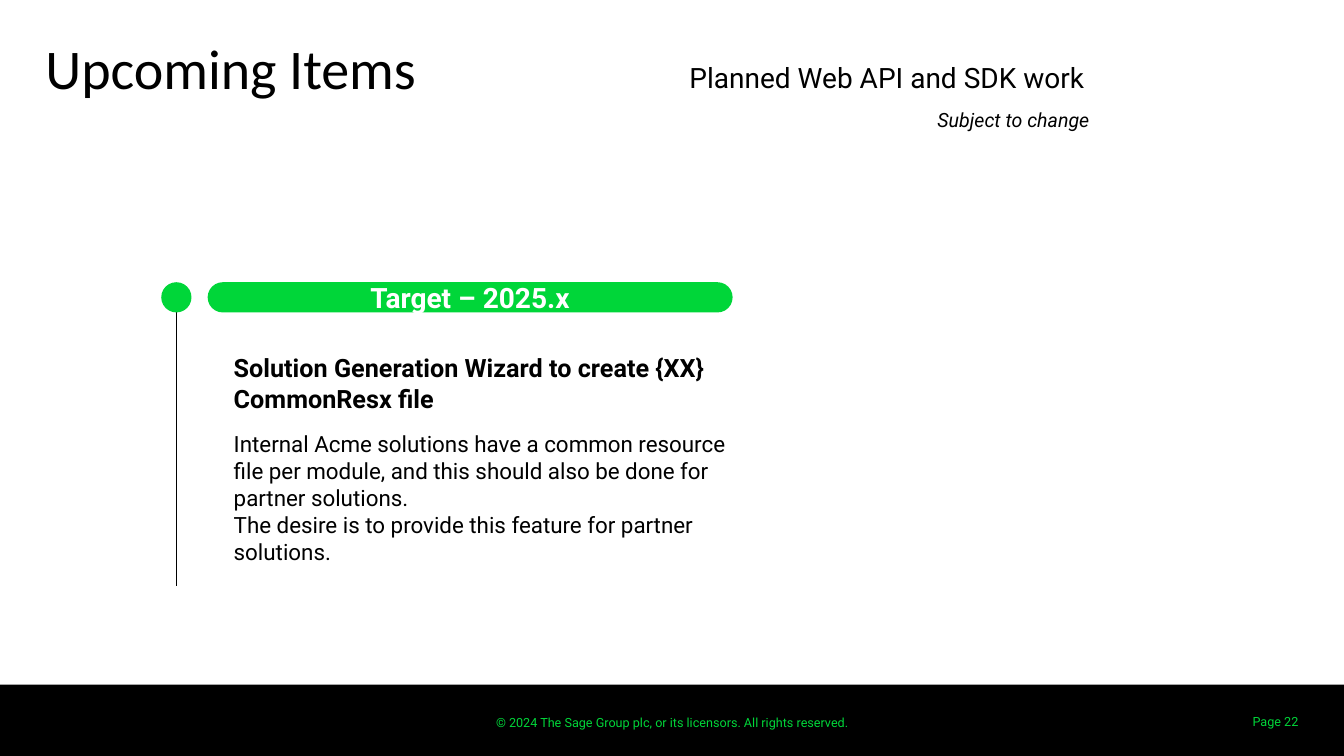
import pptx
import pptx.util
import pptx.dml.color
import pptx.enum.shapes
import pptx.enum.text
import pptx.oxml
import pptx.oxml.ns
from dataclasses import dataclass

Pt = pptx.util.Pt
Kind = pptx.enum.shapes.MSO_SHAPE
Side = pptx.enum.text.PP_ALIGN
Hold = pptx.enum.text.MSO_ANCHOR

TITLE = "Upcoming Items"
INTRO = ["Planned Web API and SDK work", "Subject to change"]
TARGET = "Target – 2025.x"
HEAD = "Solution Generation Wizard to create {XX}CommonResx file"
BODY = [
    "Internal Acme solutions have a common resource file per module, and this should also be done for partner solutions.",
    "The desire is to provide this feature for partner solutions.",
]
RIGHTS = "© 2024 The Sage Group plc, or its licensors. All rights reserved."
PAGE = "Page 22"


@dataclass(frozen=True)
class Theme:
    black: str = "000000"
    white: str = "FFFFFF"
    green: str = "00D639"
    face: str = "Roboto"
    title_face: str = "Calibri"
    title: int = 40
    lead: int = 20
    head: int = 18
    body: int = 16
    note: int = 14
    foot: int = 9


theme = Theme()
WIDE, HIGH = 960, 540
FOOT = 51
DOT = 21.6
DOT_X, DOT_Y = 115.2, 201.6
MID = DOT_X + DOT / 2
STEM_END = 418.3

deck = pptx.Presentation()
deck.slide_width, deck.slide_height = Pt(WIDE), Pt(HIGH)
slide = deck.slides.add_slide(deck.slide_layouts[6])


def tint(code):
    return pptx.dml.color.RGBColor.from_string(code)


def block(x, y, w, h, kind, fill):
    shape = slide.shapes.add_shape(kind, Pt(x), Pt(y), Pt(w), Pt(h))
    shape.shadow.inherit = False
    shape.fill.solid()
    shape.fill.fore_color.rgb = tint(fill)
    shape.line.fill.background()
    return shape


def box(x, y, w, h):
    return slide.shapes.add_textbox(Pt(x), Pt(y), Pt(w), Pt(h))


def write(shape, text, size, color=theme.black, face=theme.face, bold=False,
          italic=False, align=Side.LEFT, anchor=Hold.TOP, pad=(0, 0), gap=0):
    frame = shape.text_frame
    para = frame.paragraphs[0]
    if para.runs:
        para = frame.add_paragraph()
        para.space_before = Pt(gap)
    else:
        frame.word_wrap = True
        frame.vertical_anchor = anchor
        frame.margin_left = frame.margin_right = Pt(pad[0])
        frame.margin_top = frame.margin_bottom = Pt(pad[1])
    para.alignment = align
    run = para.add_run()
    run.text = text
    font = run.font
    font.size, font.name = Pt(size), face
    font.bold, font.italic = bold, italic
    font.color.rgb = tint(color)


block(0, HIGH - FOOT, WIDE, FOOT, Kind.RECTANGLE, theme.black)
write(box(354, 506.9, 252, 18), RIGHTS, theme.foot, color=theme.green,
      align=Side.CENTER, pad=(0, 3.6))
write(box(869, 501.1, 65.5, 28.8), PAGE, theme.foot, color=theme.green,
      align=Side.RIGHT, anchor=Hold.MIDDLE, pad=(7.2, 3.6))

write(box(32.4, 23.8, 399.6, 46.8), TITLE, theme.title, face=theme.title_face)
intro = box(492.5, 39.6, 285.8, 95.8)
write(intro, INTRO[0], theme.lead, pad=(0, 3.6))
write(intro, INTRO[1], theme.note, italic=True, align=Side.RIGHT, gap=10)

stem = slide.shapes.add_connector(
    pptx.enum.shapes.MSO_CONNECTOR.STRAIGHT,
    Pt(MID), Pt(DOT_Y + DOT / 2), Pt(MID), Pt(STEM_END))
stem.line.color.rgb = tint(theme.black)
stem.line.width = Pt(1)
stem._element.spPr.append(pptx.oxml.parse_xml(
    "<a:effectLst %s/>" % pptx.oxml.ns.nsdecls("a")))

block(DOT_X, DOT_Y, DOT, DOT, Kind.OVAL, theme.green)
pill = block(148.3, DOT_Y, 375, DOT, Kind.ROUNDED_RECTANGLE, theme.green)
pill.adjustments[0] = 0.5
write(pill, TARGET, theme.lead, color=theme.white, bold=True,
      align=Side.CENTER, anchor=Hold.MIDDLE, pad=(7.2, 3.6))

item = box(167, 252, 355.7, 153.4)
write(item, HEAD, theme.head, bold=True)
for line, gap in zip(BODY, (12.3, 0)):
    write(item, line, theme.body, gap=gap)

deck.save("out.pptx")
